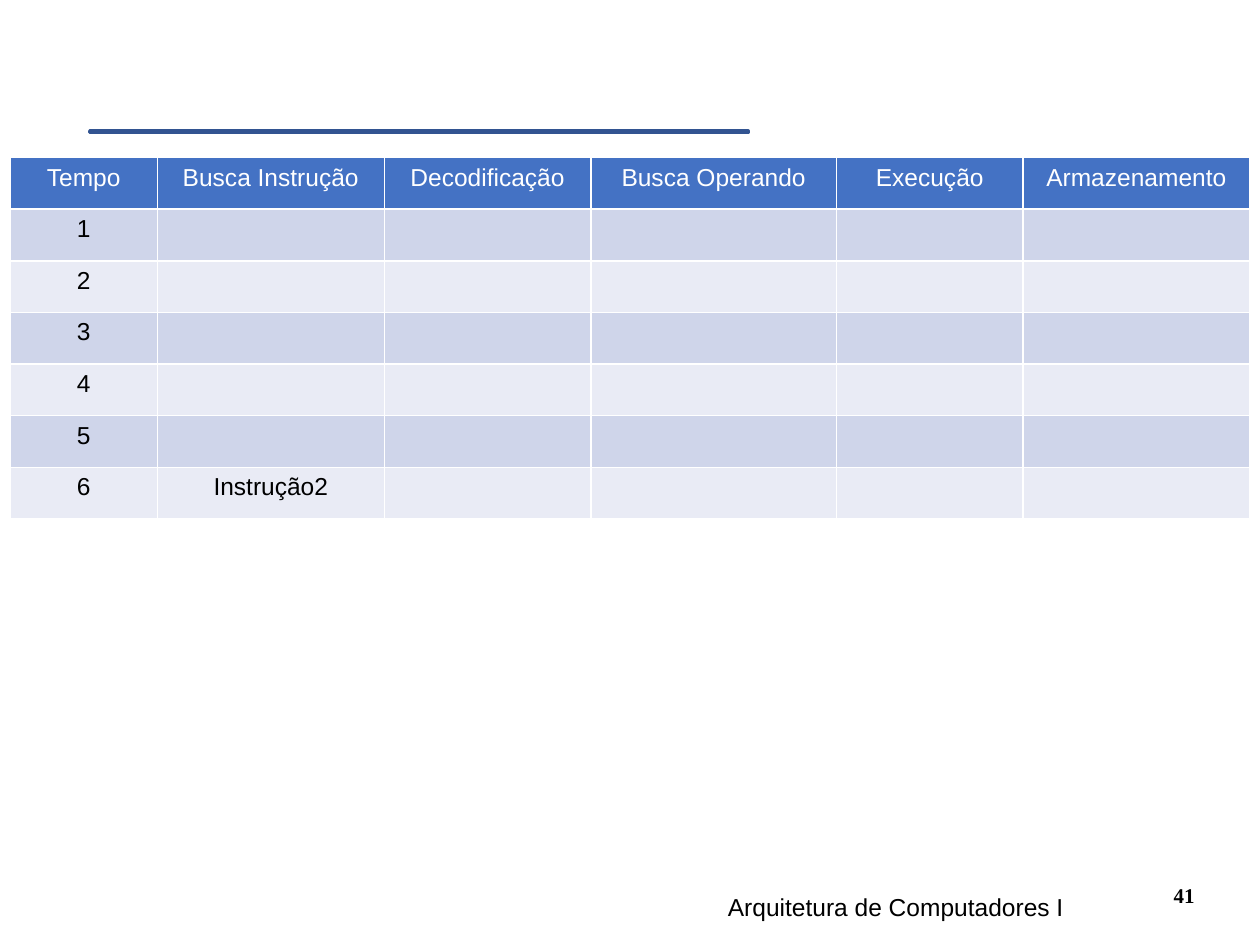
from pptx import Presentation, util as u
from pptx.dml.color import RGBColor
from pptx.enum import shapes, text

HEADS = ["Tempo", "Busca Instrução", "Decodificação", "Busca Operando", "Execução", "Armazenamento"]
STEPS = [["1"], ["2"], ["3"], ["4"], ["5"], ["6", "Instrução2"]]
COLS = [1.17, 1.8, 1.64, 1.95, 1.48, 1.8]
ROW = 0.41
BLUE, EDGE, BLACK, WHITE = "4472C4", "325491", "000000", "FFFFFF"
BANDS = ["E9EBF5", "CFD5EA"]
ALIGN = text.PP_ALIGN
LABELS = [
    ("41", (7, 6.75, 2.58, 0.5), ALIGN.RIGHT, text.MSO_ANCHOR.BOTTOM, ("Times New Roman", 12, BLACK, True)),
    ("Arquitetura de Computadores I", (4.89, 7.03, 4.44, 0.5), ALIGN.CENTER, text.MSO_ANCHOR.TOP,
     ("Arial", 14, BLACK, False)),
]


def paint(fill, color):
    fill.solid()
    fill.fore_color.rgb = RGBColor.from_string(color)


def write(frame, words, align, name, size, color, bold=False):
    para = frame.paragraphs[0]
    para.text = words
    para.alignment = align
    font = para.font
    font.name, font.size, font.bold = name, u.Pt(size), bold
    font.color.rgb = RGBColor.from_string(color)


def place(*box):
    return [u.Inches(side) for side in box]


def add_grid(slide):
    rows = [HEADS] + STEPS
    box = place(0.08, 1.25, sum(COLS), ROW * len(rows))
    grid = slide.shapes.add_table(len(rows), len(COLS), *box).table
    for col, width in zip(grid.columns, COLS):
        col.width = u.Inches(width)
    for r, row in enumerate(rows):
        for c in range(len(COLS)):
            cell = grid.cell(r, c)
            paint(cell.fill, BANDS[r % 2] if r else BLUE)
            words = row[c] if c < len(row) else ""
            write(cell.text_frame, words, ALIGN.CENTER, "Arial", 14, BLACK if r else WHITE)


def add_rule(slide):
    rule = slide.shapes.add_shape(shapes.MSO_SHAPE.MATH_MINUS, *place(-0.23, 1.02, 7.11, 0.05))
    rule.shadow.inherit = False
    paint(rule.fill, BLUE)
    paint(rule.line.fill, EDGE)
    rule.line.width = u.Pt(2)


def add_label(slide, words, box, align, anchor, style):
    frame = slide.shapes.add_textbox(*place(*box)).text_frame
    frame.word_wrap = True
    frame.vertical_anchor = anchor
    write(frame, words, align, *style)


def main():
    deck = Presentation()
    deck.slide_width, deck.slide_height = place(10, 7.5)
    slide = deck.slides.add_slide(deck.slide_layouts[6])
    add_grid(slide)
    add_rule(slide)
    for label in LABELS:
        add_label(slide, *label)
    deck.save("out.pptx")


if __name__ == "__main__":
    main()
